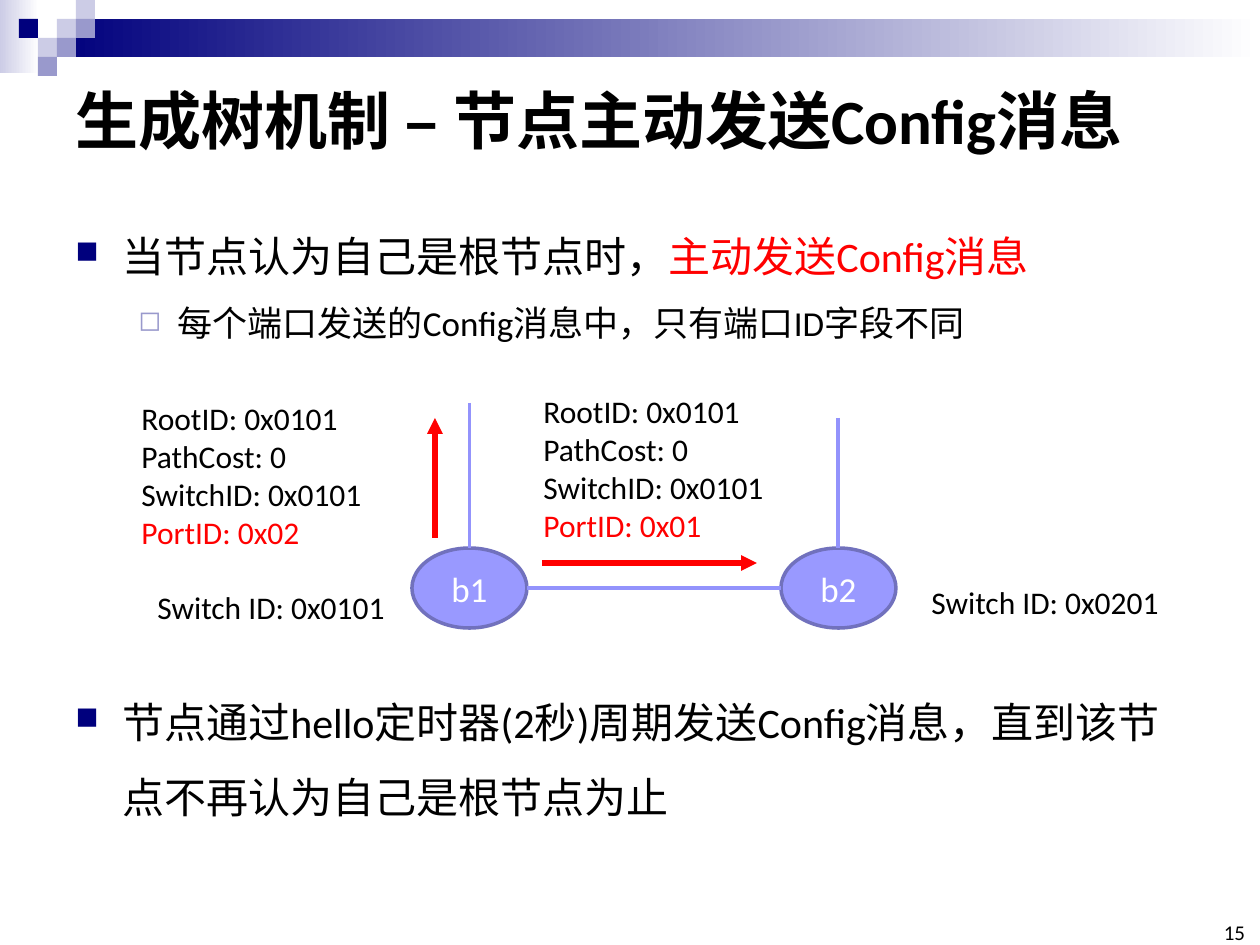
from pptx import Presentation
from pptx.dml.color import RGBColor
from pptx.enum.shapes import MSO_CONNECTOR, MSO_SHAPE
from pptx.enum.text import MSO_ANCHOR, PP_ALIGN
from pptx.oxml.ns import qn
from pptx.util import Pt
from lxml import etree

PX = 914400 // 126
BLACK, RED, NAVY, LAVENDER, PALE = "000000", "FF0000", "00007D", "9999CC", "CCCCE6"
NODE, NODE_EDGE, LINK, WHITE = "9999FF", "7171BD", "9393FC", "FFFFFF"

# Content: a paragraph is a list of (text, colour) runs
TITLE = "生成树机制 – 节点主动发送Config消息"
PAGE = "15"
# level: text size, indent, hanging, bullet, bullet colour, bullet percent
LEVELS = [(24, 47, 47, "■", NAVY, 75), (20, 102, 39, "◻", LAVENDER, 80)]
POINTS = [  # box top, box height, [(level, runs)]
    (199, 160, [(0, [("当节点认为自己是根节点时，", BLACK), ("主动发送Config消息", RED)]),
                (1, [("每个端口发送的Config消息中，只有端口ID字段不同", BLACK)])]),
    (665, 170, [(0, [("节点通过hello定时器(2秒)周期发送Config消息，"
                      "直到该节点不再认为自己是根节点为止", BLACK)])]),
]
SWITCHES = [  # name, left, top of uplink, ID, label position
    ("b1", 412, 403, "0x0101", (145, 582)),
    ("b2", 781, 418, "0x0201", (919, 577)),
]
MESSAGES = [  # port, text position, arrow from and to
    ("0x02", (129, 393), (435, 538, 435, 418)),
    ("0x01", (531, 386), (542, 563, 757, 563)),
]
NODE_TOP, NODE_W, NODE_H = 548, 115, 80

# Header decoration
CELL = 19
BANDS = [(0, 0, 39, 73, PALE), (57, CELL, 1203, 38, NAVY)]
SQUARES = [(3, 1, PALE), (4, 0, PALE), (4, 1, LAVENDER), (2, 2, PALE),
           (1, 1, NAVY), (3, 2, LAVENDER), (2, 3, LAVENDER)]

prs = Presentation()
prs.slide_width, prs.slide_height = 1260 * PX, 945 * PX
slide = prs.slides.add_slide(prs.slide_layouts[6])
shapes = slide.shapes


def rgb(value):
    return RGBColor.from_string(value)


def box(*px):
    return [round(v * PX) for v in px]


def assign(target, **values):
    for key, value in values.items():
        setattr(target, key, value)


def add_shape(kind, place, color, edge=None):
    shape = shapes.add_shape(kind, *box(*place))
    shape.shadow.inherit = False
    shape.fill.solid()
    shape.fill.fore_color.rgb = rgb(color)
    if edge:
        shape.line.color.rgb = rgb(edge)
        shape.line.width = Pt(2)
    else:
        shape.line.fill.background()
    return shape


def add_runs(paragraph, runs, size, bold=False):
    for text, color in runs:
        run = paragraph.add_run()
        run.text = text
        assign(run.font, name="Calibri", size=Pt(size), bold=bold)
        run.font.color.rgb = rgb(color)


def add_text(place, paragraphs, size, bold=False, align=PP_ALIGN.LEFT, **frame_format):
    frame = shapes.add_textbox(*box(*place)).text_frame
    assign(frame, **{"word_wrap": True, **frame_format})
    for i, runs in enumerate(paragraphs):
        paragraph = frame.paragraphs[0] if i == 0 else frame.add_paragraph()
        paragraph.alignment = align
        add_runs(paragraph, runs, size, bold)
    return frame


def add_line(ends, color, width, arrow=False):
    line = shapes.add_connector(MSO_CONNECTOR.STRAIGHT, *box(*ends))
    line.line.color.rgb = rgb(color)
    line.line.width = Pt(width)
    if arrow:
        etree.SubElement(line.line._get_or_add_ln(), qn("a:tailEnd"), type="triangle")
    etree.SubElement(line._element.spPr, qn("a:effectLst"))
    return line


def set_bullet(paragraph, indent, hanging, char, color, percent):
    props = paragraph._p.get_or_add_pPr()
    props.set("marL", str(indent * PX))
    props.set("indent", str(-hanging * PX))
    etree.SubElement(etree.SubElement(props, qn("a:buClr")), qn("a:srgbClr"), val=color)
    etree.SubElement(props, qn("a:buSzPct"), val=str(percent * 1000))
    etree.SubElement(props, qn("a:buChar"), char=char)


# Header
for *place, color in BANDS:
    fill = add_shape(MSO_SHAPE.RECTANGLE, place, color).fill
    fill.gradient()
    fill.gradient_angle = 0
    for stop, shade, position in zip(fill.gradient_stops, (color, WHITE), (0, 1)):
        stop.color.rgb = rgb(shade)
        stop.position = position
for column, row, color in SQUARES:
    add_shape(MSO_SHAPE.RECTANGLE, (column * CELL, row * CELL, CELL, CELL), color)

# Title and page number
add_text((63, 63, 1134, 112), [[(TITLE, BLACK)]], 36, bold=True,
         vertical_anchor=MSO_ANCHOR.MIDDLE)
add_text((1216, 923, 29, 22), [[(PAGE, BLACK)]], 12, align=PP_ALIGN.RIGHT,
         vertical_anchor=MSO_ANCHOR.BOTTOM, margin_left=0, margin_right=0,
         margin_top=0, margin_bottom=0)

# Bullet points
for top, height, points in POINTS:
    frame = add_text((63, top, 1134, height), [[]], 24)
    for i, (level, runs) in enumerate(points):
        size, *bullet = LEVELS[level]
        paragraph = frame.paragraphs[0] if i == 0 else frame.add_paragraph()
        assign(paragraph, level=level, line_spacing=1.5)
        set_bullet(paragraph, *bullet)
        add_runs(paragraph, runs, size)

# Switches with uplinks and labels
for name, left, uplink_top, switch_id, label in SWITCHES:
    node = add_shape(MSO_SHAPE.OVAL, (left, NODE_TOP, NODE_W, NODE_H), NODE, NODE_EDGE)
    node.text_frame.vertical_anchor = MSO_ANCHOR.MIDDLE
    paragraph = node.text_frame.paragraphs[0]
    paragraph.alignment = PP_ALIGN.CENTER
    add_runs(paragraph, [(name, WHITE)], 20)
    center = left + NODE_W / 2
    add_line((center, uplink_top, center, NODE_TOP), LINK, 2.25).end_connect(node, 0)
    add_text((*label, 256, 50), [[("Switch ID: " + switch_id, BLACK)]], 18, word_wrap=False)

# Link between the two switches
(_, b1_left, *_), (_, b2_left, *_) = SWITCHES
link_y = NODE_TOP + NODE_H / 2
add_line((b1_left + NODE_W, link_y, b2_left, link_y), LINK, 2.25)

# Config messages sent by b1
for port, position, arrow in MESSAGES:
    fields = [("RootID: 0x0101", BLACK), ("PathCost: 0", BLACK),
              ("SwitchID: 0x0101", BLACK), ("PortID: " + port, RED)]
    add_text((*position, 248, 165), [[field] for field in fields], 18, word_wrap=False)
    add_line(arrow, RED, 3, arrow=True)

prs.save("out.pptx")
